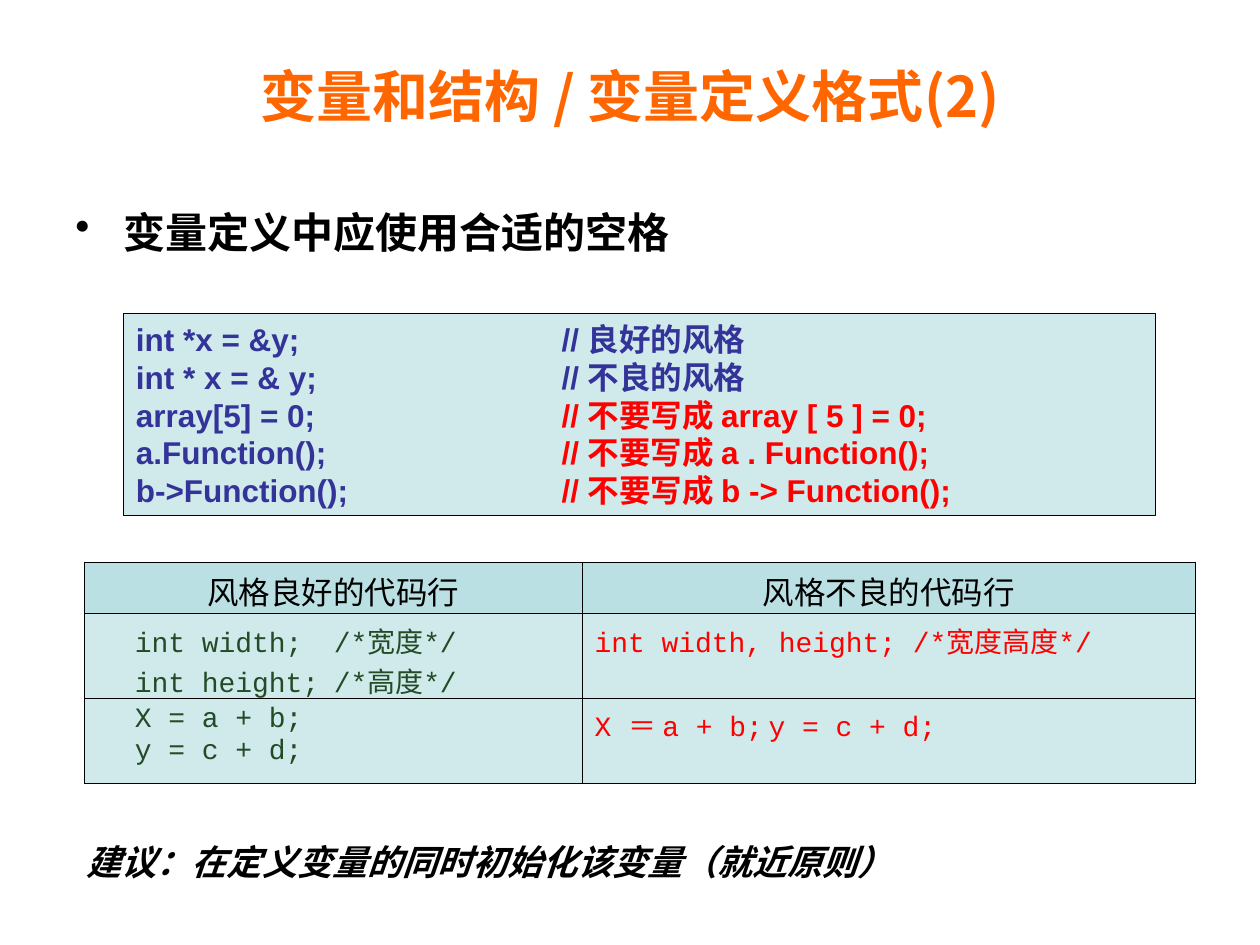
from dataclasses import dataclass

from lxml import etree
from pptx import Presentation
from pptx.dml.color import RGBColor
from pptx.enum.shapes import MSO_SHAPE
from pptx.enum.text import MSO_ANCHOR, PP_ALIGN
from pptx.oxml.ns import qn
from pptx.util import Inches, Pt

RECT = MSO_SHAPE.RECTANGLE
MIDDLE = MSO_ANCHOR.MIDDLE
CENTER = PP_ALIGN.CENTER


@dataclass(frozen=True)
class Theme:
    """Colours, fonts and type sizes of the slide."""
    orange: str = "FF6600"
    black: str = "000000"
    blue: str = "333399"
    red: str = "FF0000"
    green: str = "224B26"
    pale: str = "D0EAEC"
    header: str = "BBE0E3"
    sans: str = "Arial"
    cjk: str = "Noto Sans CJK SC"
    mono: str = "Courier New"
    title: int = 32
    bullet: int = 24
    advice: int = 20
    code: int = 18
    cell: int = 16


T = Theme()

CODE_LINES = [
    ("int *x = &y;", "// 良好的风格", T.blue),
    ("int * x = & y;", "// 不良的风格", T.blue),
    ("array[5] = 0;", "// 不要写成 array [ 5 ] = 0;", T.red),
    ("a.Function();", "// 不要写成 a . Function();", T.red),
    ("b->Function();", "// 不要写成 b -> Function();", T.red),
]
HEADERS = ["风格良好的代码行", "风格不良的代码行"]
STYLE_ROWS = [
    (["int width;\t/*宽度*/", "int height;\t/*高度*/"],
     ["int width, height; /*宽度高度*/"]),
    (["X = a + b;", "y = c + d;"],
     ["X ＝ a + b;\ty = c + d;"]),
]


def add_run(p, text, size, font, color, bold=False, italic=False):
    """Append one formatted run to a paragraph."""
    r = p.add_run()
    r.text = text
    r.font.size = Pt(size)
    r.font.name = font
    r.font.bold = bold
    r.font.italic = italic
    r.font.color.rgb = RGBColor.from_string(color)


def set_indent(p, left, first):
    """Set the left margin and first-line indent of a paragraph."""
    pPr = p._p.get_or_add_pPr()
    pPr.set("marL", str(Inches(left)))
    pPr.set("indent", str(Inches(first)))


def add_tab(p, pos):
    """Add one left tab stop to a paragraph."""
    tabs = etree.SubElement(p._p.get_or_add_pPr(), qn("a:tabLst"))
    etree.SubElement(tabs, qn("a:tab"), pos=str(Inches(pos)), algn="l")


def add_bullet(p):
    """Give a paragraph a round bullet."""
    etree.SubElement(p._p.get_or_add_pPr(), qn("a:buChar"), char="•")


def next_paragraph(tf, index):
    """Return the first paragraph, or a new one after it."""
    return tf.add_paragraph() if index else tf.paragraphs[0]


def add_text(slide, left, top, width, height):
    """Add a wrapping text box and return its text frame."""
    tf = slide.shapes.add_textbox(
        Inches(left), Inches(top), Inches(width), Inches(height)).text_frame
    tf.word_wrap = True
    return tf


def add_code_box(slide):
    """Add the framed code lines with aligned remarks."""
    sp = slide.shapes.add_shape(
        RECT, Inches(0.98), Inches(2.49), Inches(8.19), Inches(1.6))
    sp.shadow.inherit = False
    sp.fill.solid()
    sp.fill.fore_color.rgb = RGBColor.from_string(T.pale)
    sp.line.color.rgb = RGBColor.from_string(T.black)
    sp.line.width = Pt(0.25)
    tf = sp.text_frame
    tf.word_wrap = True
    tf.vertical_anchor = MSO_ANCHOR.TOP
    for i, (code, remark, color) in enumerate(CODE_LINES):
        p = next_paragraph(tf, i)
        p.alignment = PP_ALIGN.LEFT
        add_tab(p, 3.38)
        add_run(p, code + "\t", T.code, T.sans, T.blue, bold=True)
        add_run(p, remark, T.code, T.sans, color, bold=True)


def style_cell(cell, fill):
    """Give a cell thin borders and a solid fill."""
    tcPr = cell._tc.get_or_add_tcPr()
    for side in ("a:lnL", "a:lnR", "a:lnT", "a:lnB"):
        ln = etree.SubElement(tcPr, qn(side), w=str(Pt(0.45)))
        solid = etree.SubElement(ln, qn("a:solidFill"))
        etree.SubElement(solid, qn("a:srgbClr"), val=T.black)
    cell.fill.solid()
    cell.fill.fore_color.rgb = RGBColor.from_string(fill)


def add_style_table(slide):
    """Add the table that compares good and bad code lines."""
    table = slide.shapes.add_table(
        3, 2, Inches(0.67), Inches(4.46), Inches(8.82), Inches(1.76)).table
    for column, width in zip(table.columns, (3.95, 4.87)):
        column.width = Inches(width)
    for row, height in zip(table.rows, (0.41, 0.67, 0.68)):
        row.height = Inches(height)
    for c, text in enumerate(HEADERS):
        cell = table.cell(0, c)
        style_cell(cell, T.header)
        p = cell.text_frame.paragraphs[0]
        p.alignment = CENTER
        set_indent(p, 0.38, -0.38)
        add_run(p, text, T.code, T.cjk, T.black)
    columns = [(T.green, -0.08, 2), (T.red, -0.38, 1.46)]
    for r, row in enumerate(STYLE_ROWS, 1):
        for c, (lines, (color, first, tab)) in enumerate(zip(row, columns)):
            cell = table.cell(r, c)
            style_cell(cell, T.pale)
            for i, line in enumerate(lines):
                p = next_paragraph(cell.text_frame, i)
                set_indent(p, 0.38, first)
                add_tab(p, tab)
                add_run(p, line, T.cell, T.mono, color)


def main():
    """Build the slide and save it."""
    prs = Presentation()
    prs.slide_width, prs.slide_height = Inches(10), Inches(7.5)
    slide = prs.slides.add_slide(prs.slide_layouts[6])

    tf = add_text(slide, 0.5, 0.13, 9, 1.25)
    tf.vertical_anchor = MIDDLE
    p = tf.paragraphs[0]
    p.alignment = CENTER
    add_run(p, "变量和结构 / 变量定义格式(2)", T.title, T.cjk, T.orange, bold=True)

    p = add_text(slide, 0.5, 1.59, 8.67, 0.74).paragraphs[0]
    set_indent(p, 0.38, -0.38)
    add_bullet(p)
    add_run(p, "变量定义中应使用合适的空格", T.bullet, T.sans, T.black, bold=True)

    add_code_box(slide)
    add_style_table(slide)

    p = add_text(slide, 0.59, 6.62, 9.21, 0.44).paragraphs[0]
    add_run(p, "建议：在定义变量的同时初始化该变量（就近原则）",
            T.advice, T.sans, T.black, bold=True, italic=True)
    prs.save("out.pptx")


if __name__ == "__main__":
    main()
